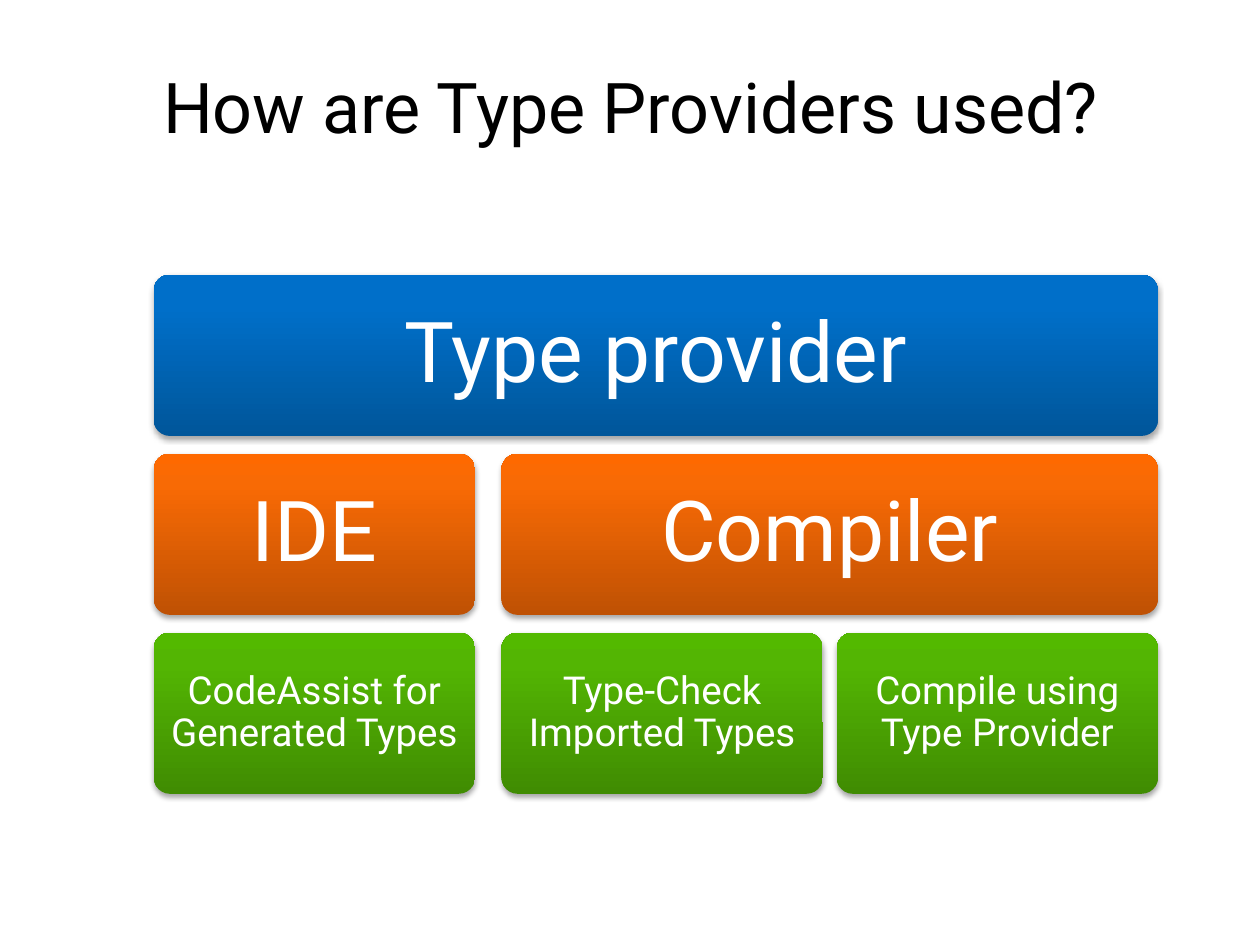
import copy

import lxml.etree
import pptx
import pptx.dml.color
import pptx.enum.shapes
import pptx.enum.text
import pptx.oxml.ns
import pptx.util

RGB = pptx.dml.color.RGBColor
BLACK = RGB(0x00, 0x00, 0x00)
WHITE = RGB(0xFF, 0xFF, 0xFF)
BLUE = (RGB(0x00, 0x56, 0x9A), RGB(0x00, 0x6F, 0xC9), RGB(0x00, 0x70, 0xCA))
ORANGE = (RGB(0xBF, 0x51, 0x04), RGB(0xF8, 0x6A, 0x05), RGB(0xFE, 0x69, 0x00))
GREEN = (RGB(0x40, 0x8C, 0x02), RGB(0x53, 0xB5, 0x03), RGB(0x53, 0xB9, 0x00))
STOP_POSITIONS = (0, 0.8, 1)

FONT = "Roboto"
GRID_LEFT, GRID_TOP = 1.22, 2.18
TILE_WIDTH, TILE_HEIGHT = 2.55, 1.28
BRANCH_GAP, SIBLING_GAP, ROW_GAP = 0.21, 0.11, 0.14
LABEL_INSET = 0.04
COLUMN_LEFTS = (
    GRID_LEFT,
    GRID_LEFT + TILE_WIDTH + BRANCH_GAP,
    GRID_LEFT + 2 * TILE_WIDTH + BRANCH_GAP + SIBLING_GAP,
)

TILES = (
    ("Type provider", 0, 0, 3, BLUE, 48, 0.2),
    ("IDE", 1, 0, 1, ORANGE, 48, 0.2),
    ("CodeAssist for Generated Types", 2, 0, 1, GREEN, 22, 0.09),
    ("Compiler", 1, 1, 2, ORANGE, 48, 0.2),
    ("Type-Check Imported Types", 2, 1, 1, GREEN, 22, 0.09),
    ("Compile using Type Provider", 2, 2, 1, GREEN, 22, 0.09),
)


def add_text(slide, text, box, *, size, color, margin=0.1, line_spacing=1.0):
    label = slide.shapes.add_textbox(*map(pptx.util.Inches, box))
    frame = label.text_frame
    frame.word_wrap = True
    frame.vertical_anchor = pptx.enum.text.MSO_ANCHOR.MIDDLE
    frame.margin_left = frame.margin_right = pptx.util.Inches(margin)
    frame.margin_top = frame.margin_bottom = pptx.util.Inches(margin)
    paragraph = frame.paragraphs[0]
    paragraph.alignment = pptx.enum.text.PP_ALIGN.CENTER
    paragraph.line_spacing = line_spacing
    run = paragraph.add_run()
    run.text = text
    run.font.name = FONT
    run.font.size = pptx.util.Pt(size)
    run.font.color.rgb = color


def apply_gradient(shape, colors):
    shape.fill.gradient()
    shape.fill.gradient_angle = 90
    stop_list = shape.fill._xPr.find(".//" + pptx.oxml.ns.qn("a:gsLst"))
    stop_list.append(copy.deepcopy(stop_list[-1]))
    for stop, color, position in zip(shape.fill.gradient_stops, colors, STOP_POSITIONS):
        stop.color.rgb = color
        stop.position = position


def apply_shadow(shape):
    qn = pptx.oxml.ns.qn
    shape.shadow.inherit = False
    effects = shape._element.spPr.find(qn("a:effectLst"))
    shadow = lxml.etree.SubElement(
        effects,
        qn("a:outerShdw"),
        blurRad=str(pptx.util.Pt(3.1)),
        dist=str(pptx.util.Pt(1.8)),
        dir="5400000",
        rotWithShape="0",
    )
    color = lxml.etree.SubElement(shadow, qn("a:srgbClr"), val=str(BLACK))
    lxml.etree.SubElement(color, qn("a:alpha"), val="35000")


def add_tile(slide, text, row, column, span, colors, size, margin):
    left = COLUMN_LEFTS[column]
    top = GRID_TOP + row * (TILE_HEIGHT + ROW_GAP)
    width = COLUMN_LEFTS[column + span - 1] + TILE_WIDTH - left
    tile = slide.shapes.add_shape(
        pptx.enum.shapes.MSO_SHAPE.ROUNDED_RECTANGLE,
        *map(pptx.util.Inches, (left, top, width, TILE_HEIGHT)),
    )
    tile.adjustments[0] = 0.1
    tile.line.fill.background()
    apply_gradient(tile, colors)
    apply_shadow(tile)
    label_box = (
        left + LABEL_INSET,
        top + LABEL_INSET,
        width - 2 * LABEL_INSET,
        TILE_HEIGHT - 2 * LABEL_INSET,
    )
    add_text(slide, text, label_box, size=size, color=WHITE, margin=margin, line_spacing=0.9)


def main():
    deck = pptx.Presentation()
    deck.slide_width = pptx.util.Inches(10)
    deck.slide_height = pptx.util.Inches(7.5)
    slide = deck.slides.add_slide(deck.slide_layouts[6])
    add_text(slide, "How are Type Providers used?", (0.51, 0.28, 8.99, 1.11), size=40, color=BLACK)
    for tile in TILES:
        add_tile(slide, *tile)
    deck.save("out.pptx")


if __name__ == "__main__":
    main()
